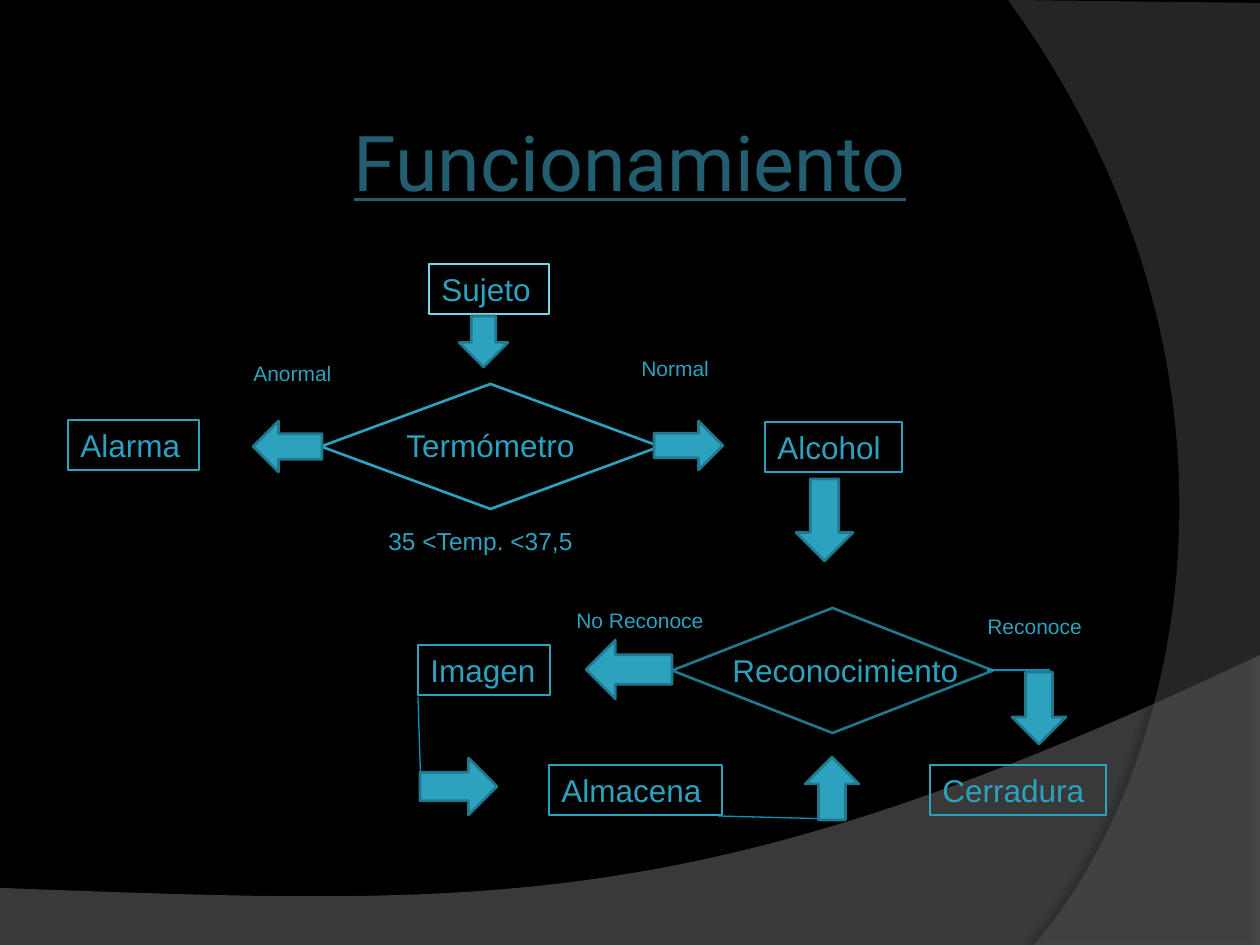
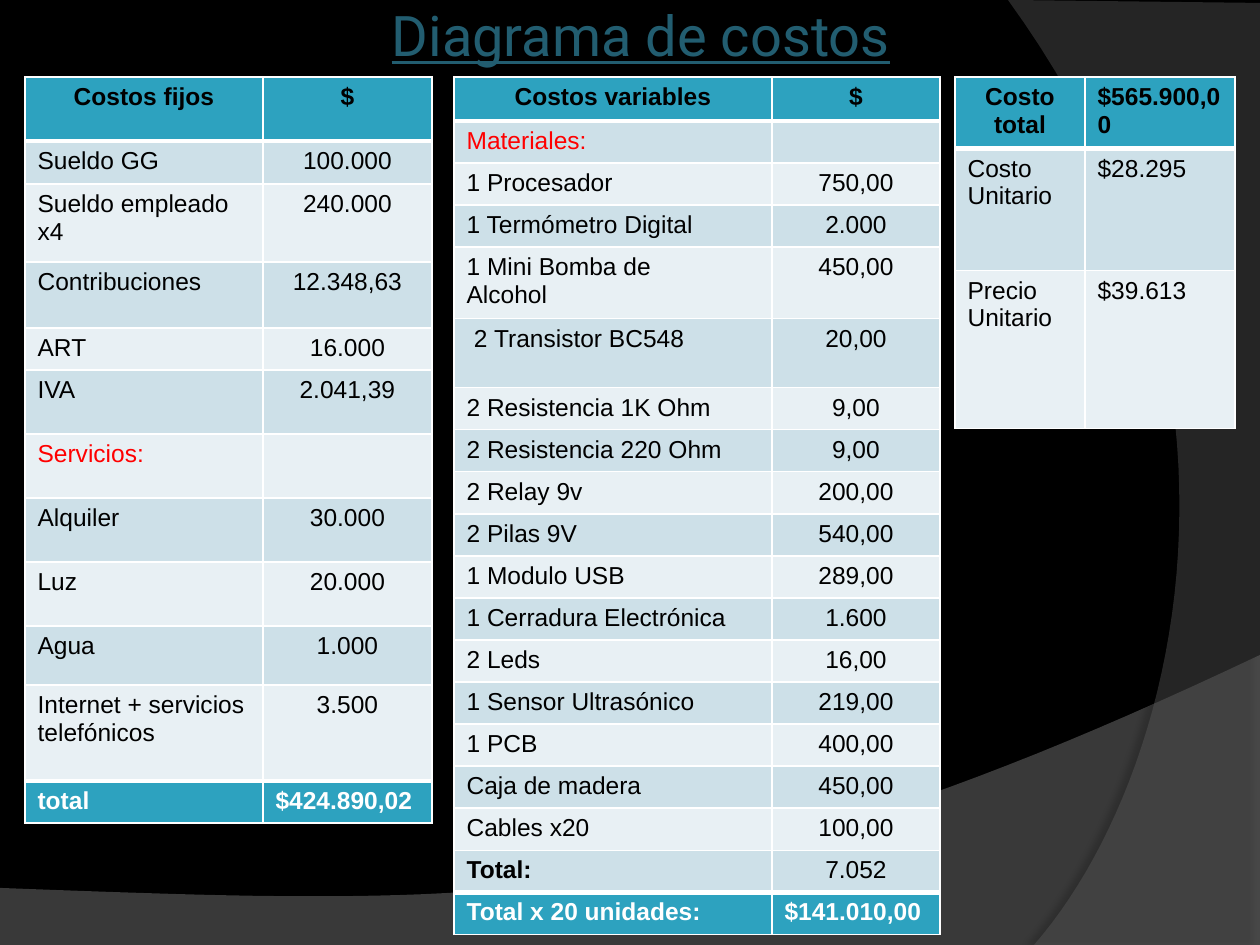
from lxml import etree
from pptx import Presentation
from pptx import util as u
from pptx.dml.color import RGBColor
from pptx.enum import shapes, text
from pptx.oxml.ns import qn

EMU_PER_PX = 914400 / 126
COLORS = {
    "background": "000000", "floor": "7F7F7F", "side": "5E5E5E", "title": "225D70",
    "accent": "2DA2BF", "outline": "21788D", "link": "0097BD", "pale": "78D6EA",
    "odd": "CDE0E8", "even": "E8F0F4", "ink": "000000", "white": "FFFFFF", "group": "FF0000",
}
ARROWS = {
    "down": shapes.MSO_SHAPE.DOWN_ARROW, "up": shapes.MSO_SHAPE.UP_ARROW,
    "left": shapes.MSO_SHAPE.LEFT_ARROW, "right": shapes.MSO_SHAPE.RIGHT_ARROW,
}


def px(*lengths):
    scaled = [u.Emu(round(length * EMU_PER_PX)) for length in lengths]
    return scaled if len(scaled) > 1 else scaled[0]


def rgb(name):
    return RGBColor.from_string(COLORS[name])


def add(parent, tag, **attributes):
    return etree.SubElement(parent, qn(tag), {key: str(value) for key, value in attributes.items()})


def curve(start, first, second, end, steps=48):
    for step in range(1, steps + 1):
        t = step / steps
        weights = ((1 - t) ** 3, 3 * t * (1 - t) ** 2, 3 * t * t * (1 - t), t ** 3)
        yield tuple(sum(w * p[axis] for w, p in zip(weights, (start, first, second, end)))
                    for axis in (0, 1))


def write(frame, words, size=18, color="accent", font="Arial", bold=False,
          underline=False, centered=False):
    paragraph = frame.paragraphs[0]
    paragraph.alignment = text.PP_ALIGN.CENTER if centered else text.PP_ALIGN.LEFT
    if not words:
        add(paragraph._p, "a:endParaRPr", sz=size * 100)
        return
    run = paragraph.add_run()
    run.text = words
    run.font.size = u.Pt(size)
    run.font.name = font
    run.font.bold = bold
    run.font.underline = underline
    run.font.color.rgb = rgb(color)


class Deck:
    def __init__(self):
        self.show = Presentation()
        self.show.slide_width, self.show.slide_height = px(1260, 945)
        self.slide = None

    def new_slide(self, title, box, size):
        self.slide = self.show.slides.add_slide(self.show.slide_layouts[5])
        fill = self.slide.background.fill
        fill.solid()
        fill.fore_color.rgb = rgb("background")
        heading = self.slide.shapes.title
        heading.left, heading.top, heading.width, heading.height = px(*box)
        heading.text_frame.word_wrap = True
        heading.text_frame.auto_size = text.MSO_AUTO_SIZE.SHAPE_TO_FIT_TEXT
        write(heading.text_frame, title, size=size, color="title", font="Roboto",
              underline=True, centered=True)
        self.band([(0, 888), (0, 946), (1260, 946), (1260, 655)],
                  [(704, 919), (493, 906), (0, 888)], "floor", 45, (35, 3.5, 270))
        self.band([(1260, 3), (1260, 945), (1034, 945)],
                  [(1178, 780), (1283, 378), (1008, 0)], "side", 40, (45, 4, 180))

    def band(self, corners, bend, color, opacity, shadow):
        outline = [px(*point) for point in corners + list(curve(corners[-1], *bend))]
        builder = self.slide.shapes.build_freeform(*outline[0])
        builder.add_line_segments(outline[1:], close=True)
        shape = builder.convert_to_shape()
        self.paint(shape, fill=color)
        properties = shape._element.spPr
        add(next(properties.iter(qn("a:srgbClr"))), "a:alpha", val=opacity * 1000)
        strength, distance, angle = shadow
        cast = add(properties.find(qn("a:effectLst")), "a:outerShdw", blurRad=u.Pt(4),
                   dist=u.Pt(distance), dir=angle * 60000, algn="ctr", rotWithShape=0)
        shade = add(cast, "a:srgbClr", val=COLORS["background"])
        add(shade, "a:alpha", val=strength * 1000)
        self.slide.shapes.title.element.addprevious(shape.element)

    def paint(self, shape, fill=None, line=None, weight=1.5):
        if fill:
            shape.fill.solid()
            shape.fill.fore_color.rgb = rgb(fill)
        else:
            shape.fill.background()
        if line:
            shape.line.color.rgb = rgb(line)
            shape.line.width = u.Pt(weight)
        else:
            shape.line.fill.background()
        shape.shadow.inherit = False

    def preset(self, kind, box, fill=None, line="outline"):
        self.paint(self.slide.shapes.add_shape(kind, *px(*box)), fill, line)

    def label(self, words, box, size=18, line=None):
        holder = self.slide.shapes.add_textbox(*px(*box))
        holder.text_frame.word_wrap = True
        holder.text_frame.auto_size = text.MSO_AUTO_SIZE.SHAPE_TO_FIT_TEXT
        if line:
            self.paint(holder, line=line, weight=0.75)
        write(holder.text_frame, words, size=size)

    def link(self, *ends):
        connector = self.slide.shapes.add_connector(shapes.MSO_CONNECTOR.STRAIGHT, *px(*ends))
        connector.line.color.rgb = rgb("link")
        connector.line.width = u.Pt(0.75)
        add(connector._element.spPr, "a:effectLst")

    def cost_table(self, left, widths, rows, has_total=True, center_amounts=True):
        heights = [row[2] for row in rows]
        table = self.slide.shapes.add_table(
            len(rows), 2, *px(left, 77, sum(widths), sum(heights))).table
        table.horz_banding = False
        for column, width in zip(table.columns, widths):
            column.width = px(width)
        last = len(rows) - 1
        thick = {0, last - 1} if has_total else {0}
        for index, (item, amount, height) in enumerate(rows):
            table.rows[index].height = px(height)
            header, total = index == 0, has_total and index == last
            for column, words in enumerate((item, amount)):
                cell = table.cell(index, column)
                cell.fill.solid()
                cell.fill.fore_color.rgb = rgb(
                    "accent" if header or total else "odd" if index % 2 else "even")
                self.borders(cell, top=3 if index - 1 in thick else 1,
                             bottom=3 if index in thick else 1)
                group = words in ("Materiales:", "Servicios:")
                amount_centered = column == 1 and center_amounts and not total
                write(cell.text_frame, words, size=14,
                      color="white" if total else "group" if group else "ink",
                      bold=header or total or words == "Total:",
                      centered=amount_centered or (header and column == 0))
        return table

    def borders(self, cell, top, bottom):
        properties = cell._tc.get_or_add_tcPr()
        sides = (("L", 1), ("R", 1), ("T", top), ("B", bottom))
        for place, (side, weight) in enumerate(sides):
            edge = add(properties, f"a:ln{side}", w=u.Pt(weight))
            add(add(edge, "a:solidFill"), "a:srgbClr", val=COLORS["white"])
            properties.insert(place, edge)


def operation(deck):
    deck.new_slide("Funcionamiento", (0, 108, 1260, 106), 44)
    for step, left, top, width, line in (
        ("Sujeto", 429, 264, 120, "pale"), ("Alcohol", 765, 422, 137, "accent"),
        ("Alarma", 68, 420, 131, "accent"), ("Imagen", 418, 645, 132, "accent"),
        ("Almacena", 549, 765, 173, "accent"), ("Cerradura", 930, 765, 176, "accent"),
    ):
        deck.label(step, (left, top, width, 50), line=line)
    for decision, place, diamond, line in (
        ("Termómetro", (394, 420, 378, 50), (321, 384, 339, 125), "accent"),
        ("Reconocimiento", (720, 645, 266, 50), (672, 608, 321, 125), "outline"),
    ):
        deck.preset(shapes.MSO_SHAPE.DIAMOND, diamond, line=line)
        deck.label(decision, place)
    for ends in ((418, 697, 421, 791), (834, 819, 718, 816), (987, 670, 1050, 670)):
        deck.link(*ends)
    for direction, *box in (
        ("down", 459, 316, 49, 51), ("left", 253, 421, 69, 51),
        ("right", 654, 421, 69, 49), ("down", 796, 479, 57, 82),
        ("left", 586, 640, 86, 59), ("right", 420, 758, 77, 57),
        ("up", 805, 757, 54, 63), ("down", 1012, 672, 54, 72),
    ):
        deck.preset(ARROWS[direction], box, fill="accent")
    deck.label("35 <Temp. <37,5", (376, 520, 215, 43), size=14)
    for outcome, left, top in (("Normal", 629, 349), ("Anormal", 241, 354),
                               ("Reconoce", 975, 607), ("No Reconoce", 564, 601)):
        deck.label(outcome, (left, top, 378, 38), size=12)


def costs(deck):
    deck.new_slide("Diagrama de costos", (11, -6, 1260, 81), 32)
    deck.cost_table(25, (238, 169), [
        ("Costos fijos", "$", 64),
        ("Sueldo GG", "100.000", 43),
        ("Sueldo empleado x4", "240.000", 78),
        ("Contribuciones", "12.348,63", 66),
        ("ART", "16.000", 39),
        ("IVA", "2.041,39", 64),
        ("Servicios:", "", 64),
        ("Alquiler", "30.000", 64),
        ("Luz", "20.000", 64),
        ("Agua", "1.000", 59),
        ("Internet + servicios telefónicos", "3.500", 96),
        ("total", "$424.890,02", 39),
    ])
    variable = deck.cost_table(454, (318, 168), [
        ("Costos variables", "$", 44),
        ("Materiales:", "", 40),
        ("1 Procesador", "750,00", 40),
        ("1 Termómetro Digital", "2.000", 42),
        ("1 Mini Bomba de Alcohol", "450,00", 68),
        ("2 Transistor BC548", "20,00", 69),
        ("2 Resistencia 1K Ohm", "9,00", 40),
        ("2 Resistencia 220 Ohm", "9,00", 40),
        ("2 Relay 9v", "200,00", 42),
        ("2 Pilas 9V", "540,00", 42),
        ("1 Modulo USB", "289,00", 40),
        ("1 Cerradura Electrónica", "1.600", 42),
        ("2 Leds", "16,00", 42),
        ("1 Sensor Ultrasónico", "219,00", 40),
        ("1 PCB", "400,00", 40),
        ("Caja de madera", "450,00", 42),
        ("Cables x20", "100,00", 40),
        ("Total:", "7.052", 40),
        ("Total x 20 unidades:", "$141.010,00", 42),
    ])
    variable.cell(4, 0).margin_right = px(70)
    variable.cell(5, 0).margin_left = px(20)
    deck.cost_table(955, (130, 150), [
        ("Costo total", "$565.900,00", 59),
        ("Costo Unitario", "$28.295", 122),
        ("Precio Unitario", "$39.613", 158),
    ], has_total=False, center_amounts=False)


def main():
    deck = Deck()
    operation(deck)
    costs(deck)
    deck.show.save("out.pptx")


if __name__ == "__main__":
    main()
